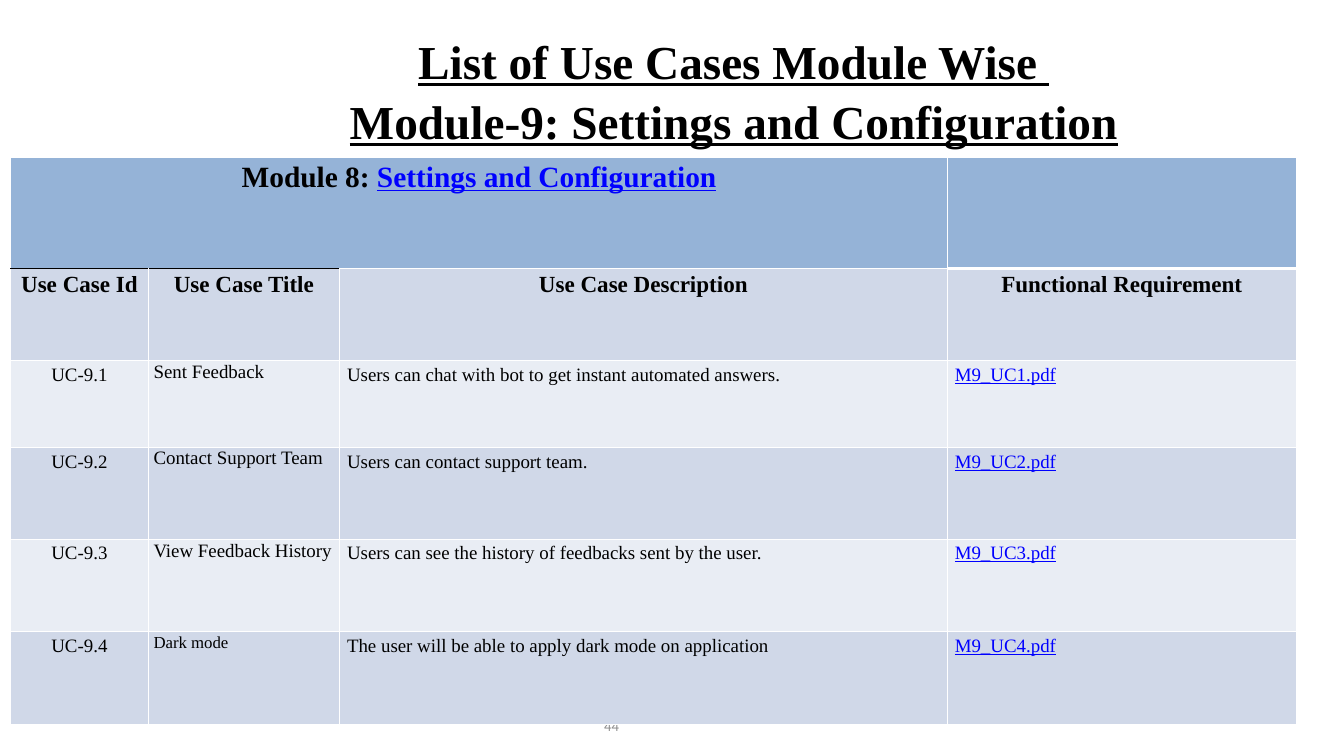
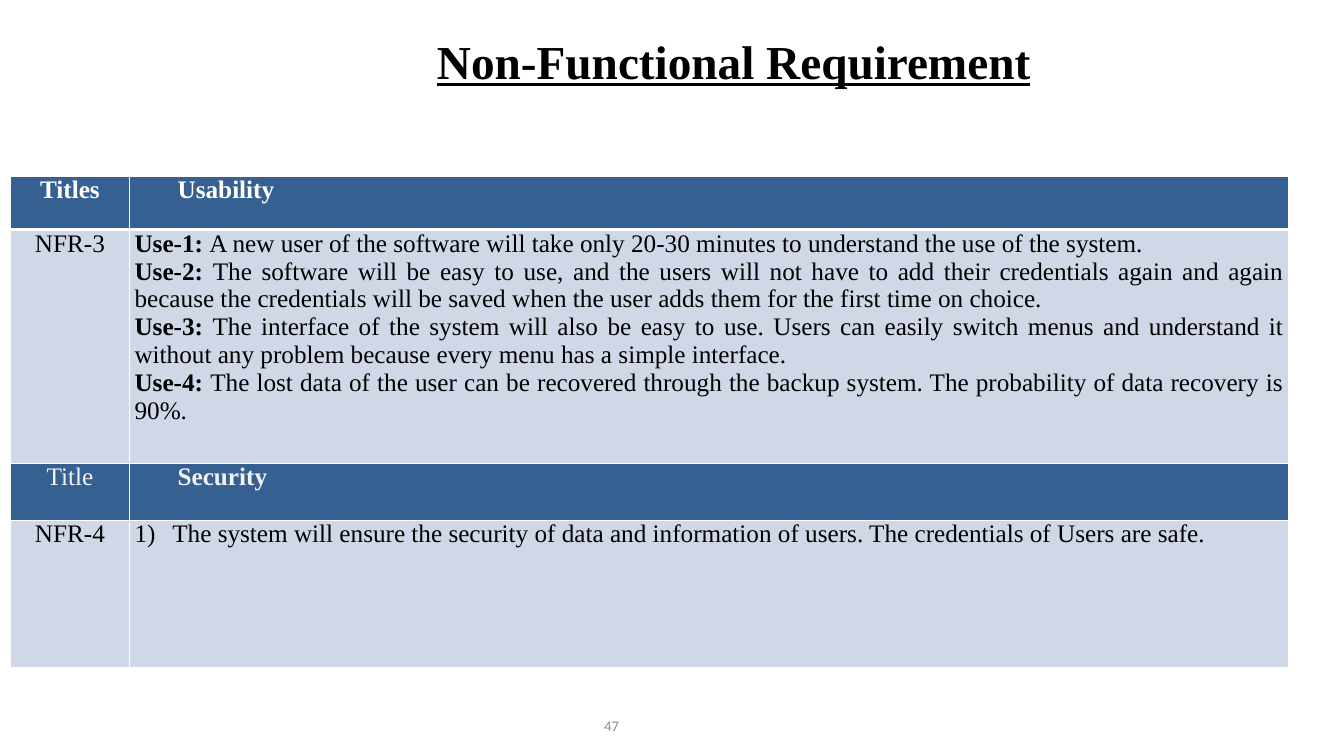
"""Build two requirement slides: a use case list and a non-functional list."""
from dataclasses import dataclass, field
from typing import Any, NamedTuple

from lxml.etree import SubElement
from pptx import Presentation
from pptx.dml.color import RGBColor
from pptx.enum.text import MSO_ANCHOR, MSO_AUTO_SIZE, PP_ALIGN
from pptx.oxml.ns import qn
from pptx.util import Inches, Pt

WIDE, HIGH = Inches(17.78), Inches(10)
WHITE = RGBColor(0xFF, 0xFF, 0xFF)
BLACK = RGBColor(0, 0, 0)
GRAY = RGBColor(0x8C, 0x8C, 0x8C)
PALE = RGBColor(0xF2, 0xF2, 0xF2)
LINK = RGBColor(0, 0, 0xFF)
SKY = RGBColor(0x95, 0xB3, 0xD7)
NAVY = RGBColor(0x37, 0x60, 0x92)
DARK = RGBColor(0xD0, 0xD8, 0xE8)
LIGHT = RGBColor(0xE9, 0xED, 0xF4)
LEFT, MID, RIGHT, FULL = PP_ALIGN.LEFT, PP_ALIGN.CENTER, PP_ALIGN.RIGHT, PP_ALIGN.JUSTIFY
PLAIN = {"name": "Times New Roman", "size": Pt(18), "bold": False, "underline": False, "color": BLACK}
BLUE = {"color": LINK, "underline": True}
BOLD = {"bold": True}
HEAD = {"size": Pt(22), "bold": True}
BIG = {"size": Pt(24)}
BAND = {**BIG, **BOLD, "color": WHITE}
TITLE = {"size": Pt(45), "bold": True, "underline": True}
FOOT = {"name": "Calibri", "size": Pt(14), "color": GRAY}
FRAME = {"margin_left": Inches(0.11), "margin_right": Inches(0.11), "margin_top": Inches(0.06),
         "margin_bottom": Inches(0.06), "word_wrap": True, "auto_size": MSO_AUTO_SIZE.NONE}
TIGHT = {"margin_left": Inches(0.07), "margin_right": Inches(0.07), "margin_top": 0, "margin_bottom": 0}


class Box(NamedTuple):
    """A place in percent of the slide's width and height."""
    left: float
    top: float
    width: float
    height: float


class Run(NamedTuple):
    """A piece of text and what differs from the plain format."""
    text: str
    style: dict[str, Any] = {}


@dataclass
class Para:
    """A paragraph with its runs and layout."""
    runs: list[Run]
    form: dict[str, Any] = field(default_factory=dict)
    indent: float = 0
    hang: float = 0
    number: str = ""


@dataclass
class Cell:
    """A table cell with its fill, margins and edge styles."""
    paras: list[Para]
    fill: RGBColor
    tight: bool = False
    edges: dict[str, tuple[RGBColor, float]] = field(default_factory=dict)


@dataclass
class Grid:
    """A table's corner, column and row sizes in percent, and cells."""
    left: float
    top: float
    cols: list[float]
    rows: list[float]
    cells: list[list[Cell]]
    span: int = 1


@dataclass
class Page:
    """What one slide shows."""
    title: str
    place: Box
    number: str
    grid: Grid


def across(share: float) -> int:
    """Turn percent of the width into a length."""
    return round(WIDE * share / 100)


def down(share: float) -> int:
    """Turn percent of the height into a length."""
    return round(HIGH * share / 100)


def spot(box: Box) -> tuple[int, int, int, int]:
    """Turn a box into lengths."""
    return across(box.left), down(box.top), across(box.width), down(box.height)


def apply(thing: Any, form: dict[str, Any]) -> None:
    """Set each format value on an object."""
    for key, value in form.items():
        if key == "color":
            thing.color.rgb = value
        else:
            setattr(thing, key, value)


def write(frame: Any, paras: list[Para]) -> None:
    """Fill a text frame with paragraphs."""
    for index, para in enumerate(paras):
        line = frame.add_paragraph() if index else frame.paragraphs[0]
        apply(line, para.form)
        if para.indent:
            props = line._p.get_or_add_pPr()
            props.set("marL", str(Inches(para.indent)))
            props.set("indent", str(Inches(para.hang)))
            if para.number:
                SubElement(props, qn("a:buAutoNum"), type=para.number)
        for run in para.runs:
            for turn, part in enumerate(run.text.split("\n")):
                if turn:
                    line.add_line_break()
                piece = line.add_run()
                piece.text = part
                apply(piece.font, {**PLAIN, **run.style})


def edge(cell: Any, marks: dict[str, tuple[RGBColor, float]]) -> None:
    """Draw the four borders of a cell, white where none is named."""
    props = cell._tc.get_or_add_tcPr()
    for index, side in enumerate("LRTB"):
        color, width = marks.get(side, (WHITE, 1))
        line = SubElement(props, qn(f"a:ln{side}"), w=str(Pt(width)))
        SubElement(SubElement(line, qn("a:solidFill")), qn("a:srgbClr"), val=str(color))
        props.insert(index, line)


def draw_grid(slide: Any, grid: Grid) -> None:
    """Add a table."""
    size = Box(grid.left, grid.top, sum(grid.cols), sum(grid.rows))
    table = slide.shapes.add_table(len(grid.rows), len(grid.cols), *spot(size)).table
    apply(table, {"first_row": False, "horz_banding": False})
    for col, share in zip(table.columns, grid.cols):
        col.width = across(share)
    for row, share in zip(table.rows, grid.rows):
        row.height = down(share)
    if grid.span > 1:
        table.cell(0, 0).merge(table.cell(0, grid.span - 1))
    for row, cells in enumerate(grid.cells):
        for col, item in enumerate(cells):
            cell = table.cell(row, col)
            cell.fill.solid()
            cell.fill.fore_color.rgb = item.fill
            apply(cell, TIGHT if item.tight else {})
            edge(cell, item.edges)
            write(cell.text_frame, item.paras)


def draw_page(deck: Any, page: Page) -> None:
    """Add a slide with its title, number and table."""
    slide = deck.slides.add_slide(deck.slide_layouts[5])
    title = slide.shapes.title
    apply(title, dict(zip(("left", "top", "width", "height"), spot(page.place))))
    apply(title.text_frame, {**FRAME, "vertical_anchor": MSO_ANCHOR.TOP})
    write(title.text_frame, [Para([Run(page.title, TITLE)], {"alignment": MID, "line_spacing": 1.05})])
    foot = slide.shapes.add_textbox(*spot(Box(42.52, 93.3, 4.16, 5.3)))
    apply(foot.text_frame, {**FRAME, "vertical_anchor": MSO_ANCHOR.MIDDLE})
    write(foot.text_frame, [Para([Run(page.number, FOOT)], {"alignment": RIGHT})])
    draw_grid(slide, page.grid)


def text(words: str, fill: RGBColor, align: Any = MID, style: dict[str, Any] = {}, **more: Any) -> Cell:
    """Make a cell of one run."""
    return Cell([Para([Run(words, style)], {"alignment": align})], fill, **more)


def case_grid() -> Grid:
    """Make the use case table."""
    black = (BLACK, 1)
    name = Para([Run("Module 8: ", {**BOLD, "size": Pt(28)}),
                 Run("Settings and Configuration", {**BOLD, **BLUE, "size": Pt(28)})], {"alignment": MID})
    heads = ["Use Case Id", "Use Case Title", "Use Case Description", "Functional Requirement"]
    cells = [
        [Cell([name], SKY, edges={"B": black}), Cell([], SKY), Cell([], SKY),
         Cell([], SKY, edges={"B": (WHITE, 3)})],
        [text(head, DARK, MID, HEAD, edges={"T": black} if col < 2 else {}) for col, head in enumerate(heads)],
    ]
    cases = [
        ("Sent Feedback", "Users can chat with bot to get instant automated answers.", 18, 1.07),
        ("Contact Support Team", "Users can contact support team.", 18, 1.0),
        ("View Feedback History", "Users can see the history of feedbacks sent by the user.", 18, 1.07),
        ("Dark mode", "The user will be able to apply dark mode on application", 16, 1.07),
    ]
    for count, (label, about, size, space) in enumerate(cases, 1):
        fill = LIGHT if count % 2 else DARK
        para = Para([Run(label, {"size": Pt(size)})], {"line_spacing": space})
        cells.append([text(f"UC-9.{count}", fill), Cell([para], fill, True),
                      text(about, fill, FULL), text(f"M9_UC{count}.pdf", fill, FULL, BLUE)])
    return Grid(0.79, 20.8, [10.24, 14.23, 45.22, 25.98], [14.7, 12.2, 11.5, 12.1, 12.3, 12.3], cells, 3)


def need_grid() -> Grid:
    """Make the non-functional table."""
    uses = [
        "A new user of the software will take only 20-30 minutes to understand the use of the system.",
        "The software will be easy to use, and the users will not have to add their credentials again and "
        "again because the credentials will be saved when the user adds them for the first time on choice.",
        "The interface of the system will also be easy to use. Users can easily switch menus and understand "
        "it without any problem because every menu has a simple interface.",
        "The lost data of the user can be recovered through the backup system. The probability of data "
        "recovery is 90%.",
    ]
    points = [Para([Run(f"Use-{count}: ", {**BIG, **BOLD}), Run(use, BIG)], {"alignment": FULL})
              for count, use in enumerate(uses, 1)]
    safe = Para([Run("The system will ensure the security of data and information of users. "
                     "The credentials of Users are safe.", BIG)], {"alignment": FULL}, 0.5, -0.5, "arabicParenR")
    groups = [
        ("Titles", BAND, "Usability", BAND, {"B": (WHITE, 3)}, "NFR-3", points),
        ("Title", {**BIG, "color": PALE}, "Security", {**BAND, "color": PALE}, {}, "NFR-4", [safe]),
    ]
    cells = []
    for label, first, topic, second, marks, code, paras in groups:
        head = Para([Run(topic, second)], {"alignment": LEFT}, 0.57)
        cells.append([text(label, NAVY, MID, first, tight=True, edges=marks), Cell([head], NAVY, True, marks)])
        cells.append([text(code, DARK, MID, BIG, tight=True), Cell(paras, DARK, True)])
    return Grid(0.79, 23.3, [8.83, 86.28], [7.1, 30.9, 7.5, 19.5], cells)


def main() -> None:
    """Build and save the deck."""
    deck = Presentation()
    apply(deck, {"slide_width": WIDE, "slide_height": HIGH})
    pages = [
        Page("List of Use Cases Module Wise \nModule-9: Settings and Configuration",
             Box(12.71, 3.3, 83.75, 12.5), "44", case_grid()),
        Page("Non-Functional Requirement", Box(16.54, 3.3, 76.1, 12.5), "47", need_grid()),
    ]
    for page in pages:
        draw_page(deck, page)
    deck.save("out.pptx")


if __name__ == "__main__":
    main()
